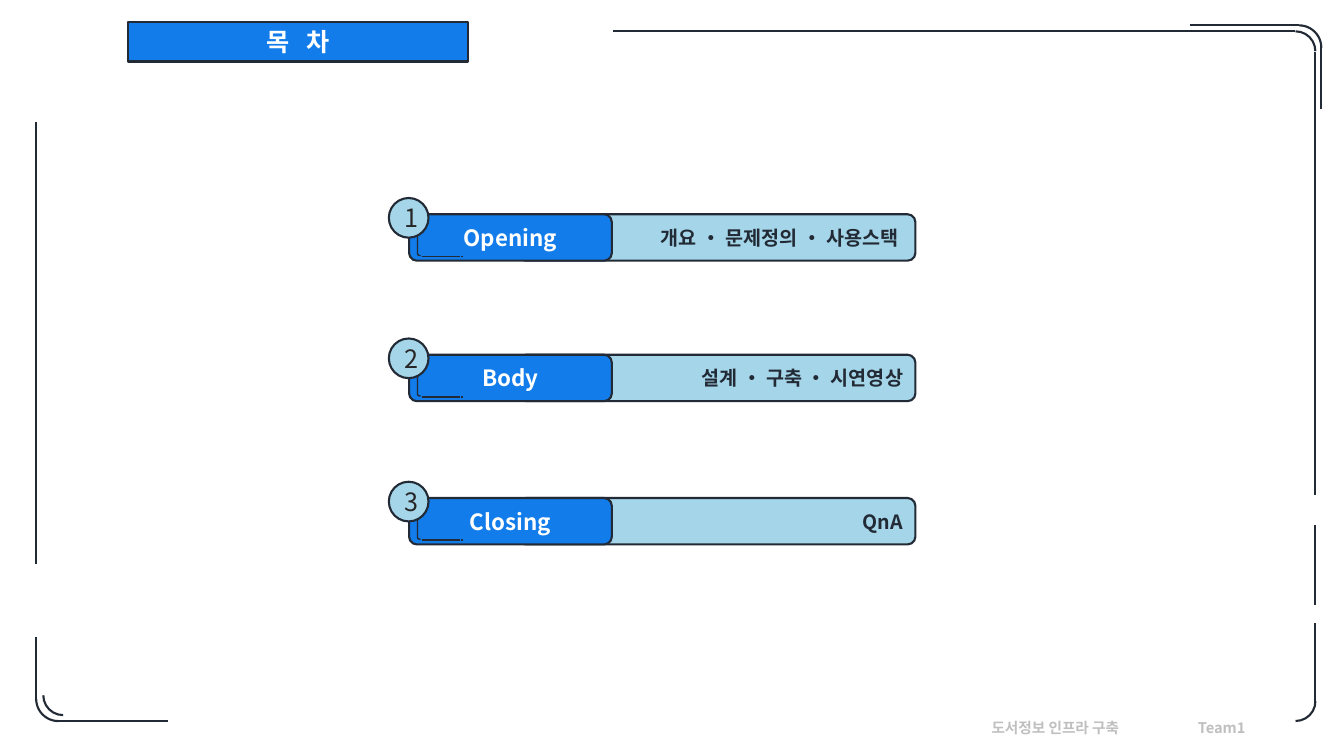
from pptx import Presentation
from pptx.dml.color import RGBColor
from pptx.enum.shapes import MSO_CONNECTOR, MSO_SHAPE as Shape
from pptx.enum.text import MSO_ANCHOR as Anchor, PP_ALIGN as Align
from pptx.oxml.ns import qn
from pptx.util import Cm, Pt
from lxml.etree import SubElement

# Content
TITLE = ("목 ", "차")
DOT = "・"
SECTIONS = [  # top of the bar in cm, name, topics
    (5.4, "Opening", "개요 ・ 문제정의 ・ 사용스택 "),
    (8.94, "Body", "설계 ・ 구축 ・ 시연영상"),
    (12.55, "Closing", "QnA"),
]
FOOTER = "도서정보 인프라 구축\tTeam1"

# Frame around the page, in cm
FRAME_ARCS = [  # left, top, diameter, rotation
    (32.15, 0.79, 1, 0), (32.18, 0.64, 1.12, 0), (32.15, 17.17, 1, 90),
    (1.09, 17.02, 1, 180), (0.91, 17.05, 1.12, 180),
]
FRAME_LINES = [  # x1, y1, x2, y2
    (32.64, 0.79, 15.44, 0.79), (32.74, 0.64, 30, 0.64),
    (33.15, 12.47, 33.15, 1.3), (33.3, 2.74, 33.3, 1.19),
    (33.15, 15.24, 33.15, 13.23), (33.15, 17.7, 33.15, 15.7),
    (1.47, 18.16, 4.24, 18.16),
    (0.91, 16.05, 0.91, 17.63), (0.91, 14.22, 0.91, 3.07),
]

FONT = "Noto Sans CJK KR"
DOT_FONT = "Arial"
BLUE = RGBColor(0x12, 0x7C, 0xEA)
SKY = RGBColor(0xA5, 0xD5, 0xE9)
INK = RGBColor(0x22, 0x2A, 0x35)
DIGIT = RGBColor(0x26, 0x26, 0x26)
WHITE = RGBColor(0xFF, 0xFF, 0xFF)
GREY = RGBColor(0xBF, 0xBF, 0xBF)

deck = Presentation()
deck.slide_width, deck.slide_height = Cm(33.87), Cm(19.05)
page = deck.slides.add_slide(deck.slide_layouts[5])


def set_typeface(font, properties, name):
    """Use one typeface for Latin and Korean letters."""
    font.name = name
    SubElement(properties, qn("a:ea")).set("typeface", name)


def format_paragraph(para, size, color, bold=True, align=Align.CENTER):
    para.alignment = align
    font = para.font
    font.size, font.bold, font.color.rgb = Pt(size), bold, color
    set_typeface(font, para._p.pPr.find(qn("a:defRPr")), FONT)


def paint(shape, fill, width=1.5):
    if fill is None:
        shape.fill.background()
    else:
        shape.fill.solid()
        shape.fill.fore_color.rgb = fill
    shape.line.color.rgb, shape.line.width = INK, Pt(width)


def add_shape(kind, left, top, width, height, fill=None, line=1.5):
    shape = page.shapes.add_shape(kind, Cm(left), Cm(top), Cm(width), Cm(height))
    shape.shadow.inherit = False
    paint(shape, fill, line)
    shape.text_frame.vertical_anchor = Anchor.MIDDLE
    return shape


def add_line(x1, y1, x2, y2, width=1.5):
    line = page.shapes.add_connector(
        MSO_CONNECTOR.STRAIGHT, Cm(x1), Cm(y1), Cm(x2), Cm(y2))
    line.line.color.rgb, line.line.width = INK, Pt(width)
    SubElement(line._element.spPr, qn("a:effectLst"))


def add_label(shape, text, size, color, **style):
    para = shape.text_frame.paragraphs[0]
    for index, part in enumerate(text.split(DOT)):
        if index:
            dot = para.add_run()
            dot.text = DOT
            set_typeface(dot.font, dot._r.get_or_add_rPr(), DOT_FONT)
        para.add_run().text = part
    format_paragraph(para, size, color, **style)
    return para


# Frame
for left, top, diameter, rotation in FRAME_ARCS:
    add_shape(Shape.ARC, left, top, diameter, diameter).rotation = rotation
for ends in FRAME_LINES:
    add_line(*ends)

# Title plate
title = page.shapes.title
title.left, title.top, title.width, title.height = Cm(3.23), Cm(0.56), Cm(8.56), Cm(0.99)
geometry = SubElement(title._element.spPr, qn("a:prstGeom"), prst="roundRect")
guides = SubElement(geometry, qn("a:avLst"))
SubElement(guides, qn("a:gd"), name="adj", fmla="val 11100")
paint(title, BLUE)
title.text_frame.vertical_anchor = Anchor.MIDDLE
heading = title.text_frame.paragraphs[0]
for syllable in TITLE:
    heading.add_run().text = syllable
heading.runs[0]._r.get_or_add_rPr().set("spc", "400")  # widen the gap
format_paragraph(heading, 18, WHITE)

# Sections
for number, (top, name, topics) in enumerate(SECTIONS, 1):
    bar = add_shape(Shape.ROUNDED_RECTANGLE, 13.06, top, 10.01, 1.17, SKY)
    add_label(bar, topics, 14, INK, align=Align.RIGHT)
    tab = add_shape(Shape.ROUNDED_RECTANGLE, 10.31, top, 5.11, 1.17, BLUE)
    add_label(tab, name, 16, WHITE)
    bracket = add_shape(Shape.RIGHT_BRACKET, 10.52, top + 0.13, 0.08, 0.91, line=1)
    bracket.adjustments[0] = 0.56
    bracket.rotation = 180
    for start, end in [(11.58, 10.64), (11.68, 11.61)]:
        add_line(start, top + 1.06, end, top + 1.06, width=1)
    badge = add_shape(Shape.OVAL, 9.8, top - 0.41, 1, 1, SKY)
    add_label(badge, str(number), 18, DIGIT, bold=False)

# Footer
footer = page.shapes.add_textbox(Cm(24.74), Cm(17.63), Cm(8.33), Cm(0.97))
frame = footer.text_frame
frame.word_wrap = True
frame.margin_top = frame.margin_bottom = Cm(0.25)
note = add_label(footer, FOOTER, 10.5, GREY, align=Align.LEFT)
note.line_spacing = 1.5
tabs = SubElement(note._p.pPr, qn("a:tabLst"))
SubElement(tabs, qn("a:tab"), pos=str(Cm(5.2)), algn="l")
note._p.pPr.find(qn("a:defRPr")).addprevious(tabs)

deck.save("out.pptx")
